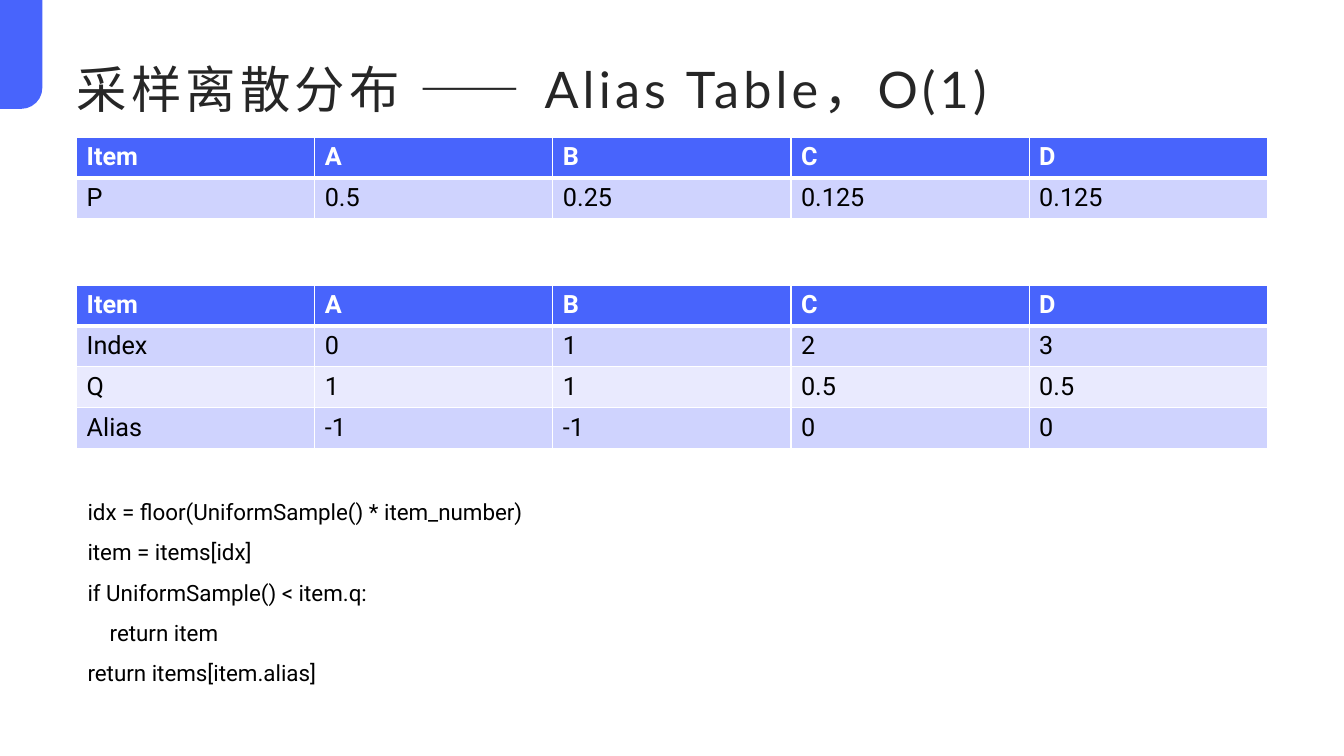
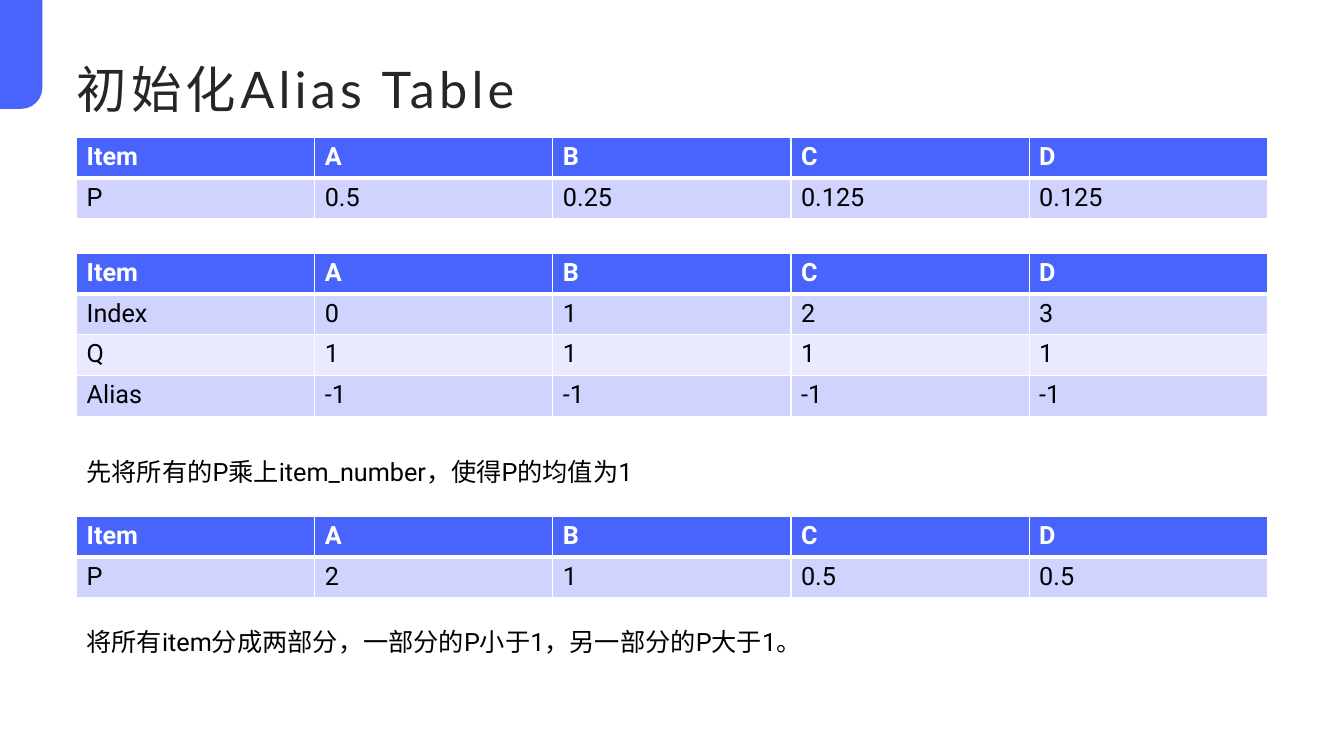
from pptx import Presentation
from pptx.dml.color import RGBColor
from pptx.enum.shapes import MSO_SHAPE
from pptx.enum.text import MSO_ANCHOR
from pptx.oxml import parse_xml
from pptx.oxml.ns import nsdecls
from pptx.util import Inches, Pt

BLUE, BAND_DARK, BAND_LIGHT, WHITE = "4864FC", "CFD3FE", "E9EAFE", "FFFFFF"
TITLE = {"name": "Lato", "size": Pt(36), "color": "262626"}
BODY = {"name": "Roboto", "size": Pt(18), "color": "000000"}
HEADER = BODY | {"color": WHITE, "bold": True}
CODE = BODY | {"size": Pt(16)}
NO_INSETS = dict.fromkeys(("margin_left", "margin_top", "margin_right", "margin_bottom"), 0)

LEFT, CONTENT_WIDTH, ROW_PAIR = 0.76, 11.81, 0.81

ITEMS = ["Item", "A", "B", "C", "D"]
INDEXES = ["Index", "0", "1", "2", "3"]
PROBABILITIES = [ITEMS, ["P", "0.5", "0.25", "0.125", "0.125"]]

SLIDES = [
    {
        "title": "采样离散分布 —— Alias Table，O(1)",
        "tables": [
            (1.36, PROBABILITIES),
            (2.83, [ITEMS, INDEXES,
                    ["Q", "1", "1", "0.5", "0.5"],
                    ["Alias", "-1", "-1", "0", "0"]]),
        ],
        "texts": [
            ((0.77, 4.76, 4.96, 2.07), CODE, 1.5, [
                "idx = floor(UniformSample() * item_number)",
                "item = items[idx]",
                "if UniformSample() < item.q:",
                "    return item",
                "return items[item.alias]",
            ]),
        ],
    },
    {
        "title": "初始化Alias Table",
        "tables": [
            (1.36, PROBABILITIES),
            (2.51, [ITEMS, INDEXES,
                    ["Q", "1", "1", "1", "1"],
                    ["Alias", "-1", "-1", "-1", "-1"]]),
            (5.12, [ITEMS, ["P", "2", "1", "0.5", "0.5"]]),
        ],
        "texts": [
            ((LEFT, 4.48, 5.8, 0.4), BODY, 1,
             ["先将所有的P乘上item_number，使得P的均值为1"]),
            ((LEFT, 6.16, 7.4, 0.4), BODY, 1,
             ["将所有item分成两部分，一部分的P小于1，另一部分的P大于1。"]),
        ],
    },
]


def rgb(color):
    return RGBColor.from_string(color)


def add_run(paragraph, text, style):
    run = paragraph.add_run()
    run.text = text
    for name, value in style.items():
        if name == "color":
            run.font.color.rgb = rgb(value)
        else:
            setattr(run.font, name, value)
    return run


presentation = Presentation()
presentation.slide_width, presentation.slide_height = Inches(13.33), Inches(7.5)

for content in SLIDES:
    slide = presentation.slides.add_slide(presentation.slide_layouts[6])

    corner_tab = slide.shapes.add_shape(
        MSO_SHAPE.ROUND_1_RECTANGLE, Inches(-0.33), Inches(0.33), Inches(1.08), Inches(0.42))
    corner_tab.rotation = 90
    corner_tab.adjustments[0] = 0.5
    corner_tab.shadow.inherit = False
    corner_tab.fill.solid()
    corner_tab.fill.fore_color.rgb = rgb(BLUE)
    corner_tab.line.fill.background()

    title_box = slide.shapes.add_textbox(
        Inches(LEFT), Inches(0.39), Inches(CONTENT_WIDTH), Inches(0.79))
    title_format = NO_INSETS | {"word_wrap": True, "vertical_anchor": MSO_ANCHOR.BOTTOM}
    for name, value in title_format.items():
        setattr(title_box.text_frame, name, value)
    title_run = add_run(title_box.text_frame.paragraphs[0], content["title"], TITLE)
    title_run.font._element.set("spc", "300")

    for top, rows in content["tables"]:
        table = slide.shapes.add_table(
            len(rows), len(ITEMS), Inches(LEFT), Inches(top),
            Inches(CONTENT_WIDTH), Inches(ROW_PAIR * len(rows) / 2)).table
        for row_index, row in enumerate(rows):
            is_header = row_index == 0
            band = BLUE if is_header else (BAND_LIGHT, BAND_DARK)[row_index % 2]
            widths = {"L": 1, "R": 1, "T": 3 if row_index == 1 else 1, "B": 3 if is_header else 1}
            for column_index, text in enumerate(row):
                cell = table.cell(row_index, column_index)
                add_run(cell.text_frame.paragraphs[0], text, HEADER if is_header else BODY)
                properties = cell._tc.get_or_add_tcPr()
                for side, width in widths.items():
                    properties.append(parse_xml(
                        f'<a:ln{side} {nsdecls("a")} w="{Pt(width)}"><a:solidFill>'
                        f'<a:srgbClr val="{WHITE}"/></a:solidFill></a:ln{side}>'))
                cell.fill.solid()
                cell.fill.fore_color.rgb = rgb(band)

    for position, style, line_spacing, lines in content["texts"]:
        text_frame = slide.shapes.add_textbox(*map(Inches, position)).text_frame
        text_frame.word_wrap = True
        for line_index, line in enumerate(lines):
            paragraph = text_frame.add_paragraph() if line_index else text_frame.paragraphs[0]
            paragraph.line_spacing = line_spacing
            add_run(paragraph, line, style)

presentation.save("out.pptx")
